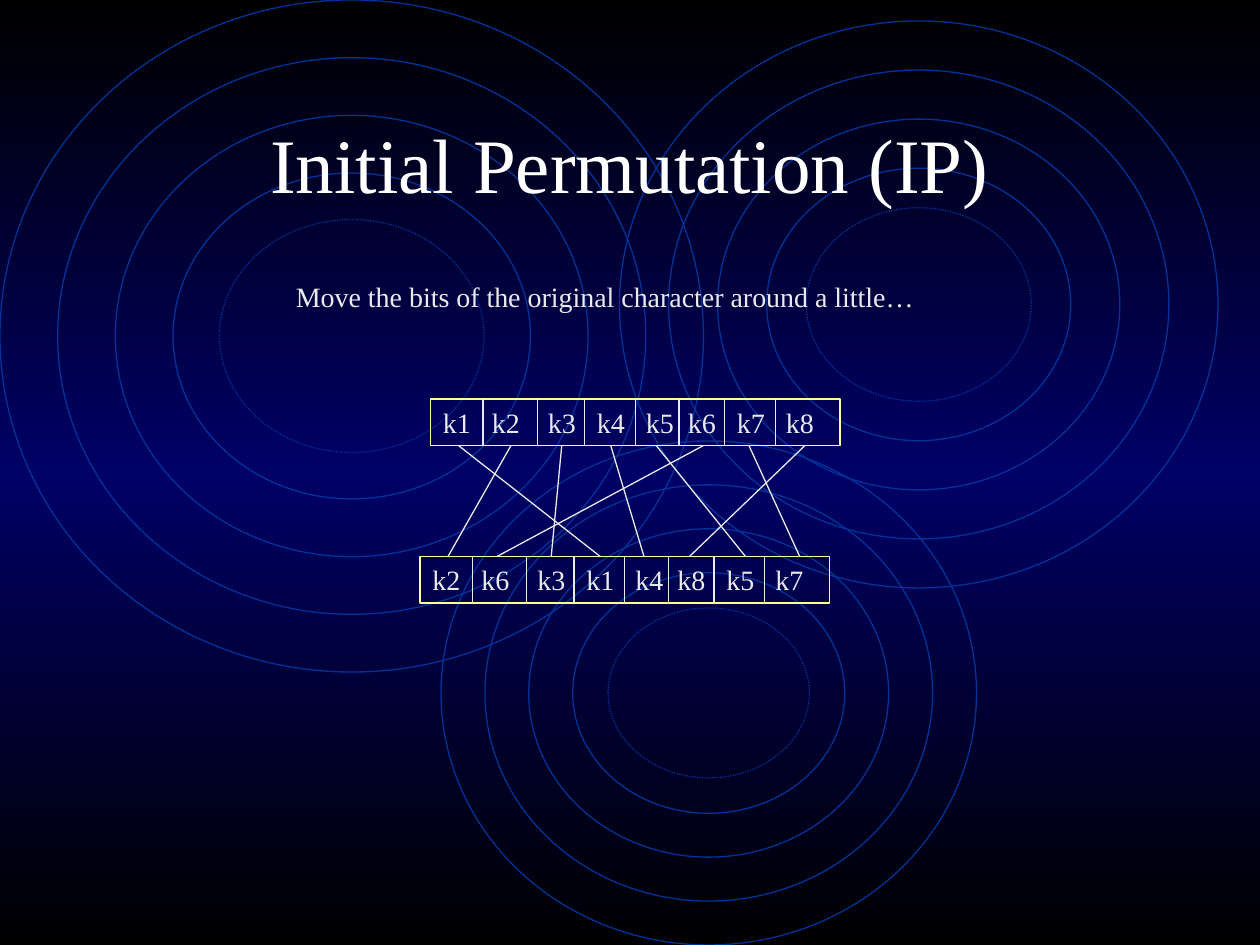
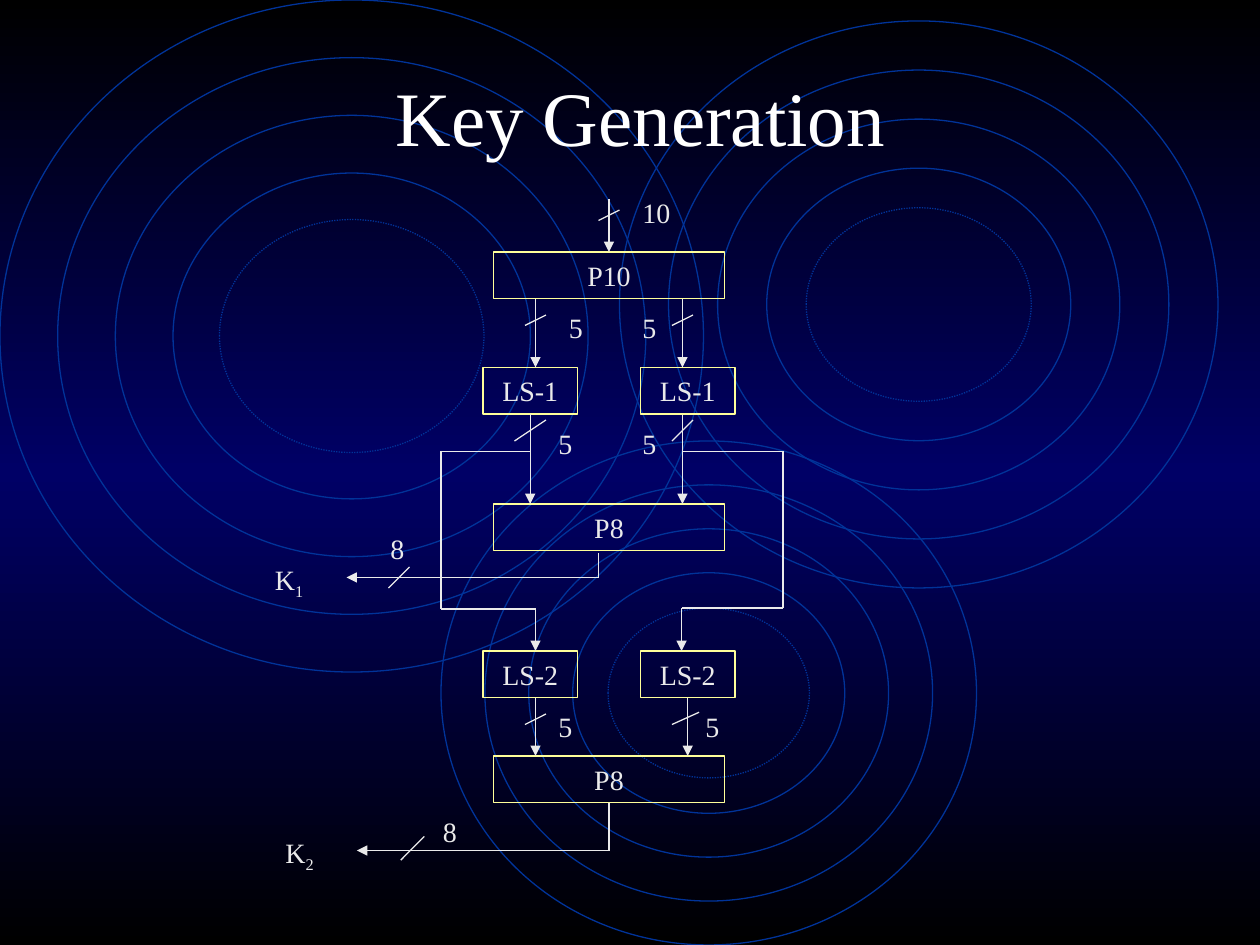
import itertools
from typing import NamedTuple

import pptx
import pptx.dml.color
import pptx.enum.dml
import pptx.enum.shapes
import pptx.enum.text
import pptx.oxml.ns
import pptx.oxml.xmlchemy
import pptx.util
from lxml import etree

Pt = pptx.util.Pt
qn = pptx.oxml.ns.qn
SHAPE = pptx.enum.shapes.MSO_SHAPE
ALIGN = pptx.enum.text.PP_ALIGN

COLORS = {
    "black": "000000",
    "navy": "000066",
    "ring": "003399",
    "title": "FFFFFF",
    "text": "EAEAEA",
    "box": "FFFF99",
}
FONT = "Times New Roman"
BODY_SIZE, TITLE_SIZE = 16, 44
LINE_WIDTH = 0.75
BOX_HEIGHT = 26.6
TOP, BOTTOM = 0, 2  # connection sites of a rectangle


class Rings(NamedTuple):
    left: float
    top: float
    width: float
    height: float


class BitRow(NamedTuple):
    left: float
    top: float
    bits: str
    ports: tuple  # wire ends, measured from the row's left edge


class Box(NamedTuple):
    name: str
    text: str
    left: float
    top: float
    width: float


class Route(NamedTuple):
    points: tuple
    arrow: bool = True
    start: str = ""  # box whose bottom the route leaves
    end: str = ""  # box whose top the route reaches


class Slash(NamedTuple):
    right: float
    top: float
    width: float = 12
    height: float = 6


class Label(NamedTuple):
    text: str
    left: float
    top: float
    width: float = 24
    subscript: str = ""


# Shared background: concentric rings, inset by a percentage of the outer width
RING_GROUPS = [
    Rings(0, 0, 402, 384),
    Rings(252, 252, 306, 288),
    Rings(354, 12, 342, 324),
]
RING_INSETS = [0, 8.2, 16.4, 24.6, 31.2]

# Initial permutation
ROW_WIDTH = 234
BIT_TABS = [28, 60, 88, 116, 140, 168, 196]
DIVIDERS = [30, 61, 88, 117, 142, 168, 197]
SOURCE_ROW = BitRow(246, 228, "k1 k2 k3 k4 k5 k6 k7 k8",
                    (16, 46, 75, 103, 129, 156, 182, 214))
PERMUTED_ROW = BitRow(240, 318, "k2 k6 k3 k1 k4 k8 k5 k7",
                      (16, 44, 75, 103, 128, 154, 186, 217))

# Key generation
BOXES = [
    Box("p10", "P10", 282, 144, 132),
    Box("p8 first", "P8", 282, 288, 132),
    Box("p8 second", "P8", 282, 432, 132),
    Box("ls1 left", "LS-1", 276, 210, 54),
    Box("ls1 right", "LS-1", 366, 210, 54),
    Box("ls2 left", "LS-2", 276, 372, 54),
    Box("ls2 right", "LS-2", 366, 372, 54),
]
ROUTES = [
    Route(((348, 114), (348, 144)), end="p10"),
    Route(((306, 171), (306, 210))),
    Route(((390, 171), (390, 210))),
    Route(((303, 237), (303, 288)), start="ls1 left"),
    Route(((390, 237), (390, 288))),
    Route(((342, 316), (342, 330), (198, 330))),
    Route(((306, 399), (306, 432))),
    Route(((393, 399), (393, 432)), start="ls2 right"),
    Route(((303, 258), (252, 258), (252, 348), (306, 348), (306, 372))),
    Route(((390, 258), (447.5, 258), (447.5, 347.5), (389.5, 347.5), (389.5, 372))),
    Route(((348, 459), (348, 486), (204, 486)), start="p8 second"),
]
SLASHES = [
    Slash(354, 120),
    Slash(312, 180),
    Slash(396, 180),
    Slash(312, 240, 18, 12),
    Slash(396, 240, 12, 12),
    Slash(234, 324, 12, 12),
    Slash(312, 408),
    Slash(399.5, 407, 15.5, 7),
    Slash(242.5, 478, 13.5, 13.5),
]
LABELS = [
    Label("10", 360, 108, 36),
    Label("5", 318, 174),
    Label("5", 360, 174),
    Label("5", 312, 240),
    Label("5", 360, 240),
    Label("8", 216, 300),
    Label("K", 150, 318, 36, "1"),
    Label("5", 312, 402),
    Label("5", 396, 402),
    Label("8", 246, 462),
    Label("K", 156, 474, 36, "2"),
]


def rgb(name: str) -> pptx.dml.color.RGBColor:
    return pptx.dml.color.RGBColor.from_string(COLORS[name])


def set_background(master) -> None:
    fill = master.background.fill
    fill.gradient()
    fill.gradient_angle = 270
    stops = master.element.xpath(".//p:bg//a:gsLst")[0]
    etree.SubElement(stops, qn("a:gs"), pos="100000")
    etree.SubElement(stops[-1], qn("a:srgbClr"), val=COLORS["black"])
    for stop, position, color in zip(fill.gradient_stops, (0, 0.5, 1),
                                     ("black", "navy", "black")):
        stop.position = position
        stop.color.rgb = rgb(color)


def add_run(p, text: str, size: float = BODY_SIZE, color: str = "text"):
    r = p.add_run()
    r.text = text
    r.font.name = FONT
    r.font.size = Pt(size)
    r.font.color.rgb = rgb(color)
    return r


def add_outline(slide, kind, left: float, top: float, width: float,
                height: float, color: str):
    sp = slide.shapes.add_shape(kind, Pt(left), Pt(top), Pt(width), Pt(height))
    sp.shadow.inherit = False
    sp.fill.background()
    sp.line.color.rgb = rgb(color)
    sp.line.width = Pt(LINE_WIDTH)
    return sp


def add_box(slide, left: float, top: float, width: float, align):
    sp = add_outline(slide, SHAPE.RECTANGLE, left, top, width, BOX_HEIGHT, "box")
    tf = sp.text_frame
    tf.vertical_anchor = pptx.enum.text.MSO_ANCHOR.TOP
    tf.paragraphs[0].alignment = align
    return sp


def add_text(slide, left: float, top: float, width: float, height: float = BOX_HEIGHT):
    tf = slide.shapes.add_textbox(Pt(left), Pt(top), Pt(width), Pt(height)).text_frame
    tf.word_wrap = True
    return tf


def add_line(slide, start: tuple, end: tuple, arrow: bool = False):
    line = slide.shapes.add_connector(pptx.enum.shapes.MSO_CONNECTOR.STRAIGHT,
                                      *(Pt(v) for v in start + end))
    line.line.color.rgb = rgb("text")
    line.line.width = Pt(LINE_WIDTH)
    sp_pr = line.element.spPr
    if arrow:
        etree.SubElement(sp_pr.find(qn("a:ln")), qn("a:tailEnd"), type="triangle")
    etree.SubElement(sp_pr, qn("a:effectLst"))
    return line


def add_rings(slide, rings: Rings) -> None:
    for percent in RING_INSETS:
        inset = rings.width * percent / 100
        sp = add_outline(slide, SHAPE.OVAL, rings.left + inset, rings.top + inset,
                         rings.width - 2 * inset, rings.height - 2 * inset, "ring")
    # The innermost ring is dotted
    sp.line.dash_style = pptx.enum.dml.MSO_LINE.ROUND_DOT


def add_slide(prs, title: str, left: float, top: float, height: float):
    slide = prs.slides.add_slide(prs.slide_layouts[6])
    for rings in RING_GROUPS:
        add_rings(slide, rings)
    tf = add_text(slide, left, top, 612, height)
    tf.vertical_anchor = pptx.enum.text.MSO_ANCHOR.MIDDLE
    p = tf.paragraphs[0]
    p.alignment = ALIGN.CENTER
    add_run(p, title, TITLE_SIZE, "title")
    return slide


def add_bit_row(slide, row: BitRow) -> None:
    sp = add_box(slide, row.left, row.top, ROW_WIDTH, ALIGN.LEFT)
    p = sp.text_frame.paragraphs[0]
    tabs = etree.SubElement(p._p.get_or_add_pPr(), qn("a:tabLst"))
    for position in BIT_TABS:
        etree.SubElement(tabs, qn("a:tab"), pos=str(Pt(position)), algn="l")
    add_run(p, "\t".join(row.bits.split()))
    for offset in DIVIDERS:
        x = row.left + offset
        add_line(slide, (x, row.top), (x, row.top + BOX_HEIGHT))


def add_route(slide, route: Route, boxes: dict) -> None:
    lines = [add_line(slide, a, b, route.arrow and b == route.points[-1])
             for a, b in itertools.pairwise(route.points)]
    if route.start:
        lines[0].begin_connect(boxes[route.start], BOTTOM)
    if route.end:
        lines[-1].end_connect(boxes[route.end], TOP)


def build_permutation(prs) -> None:
    slide = add_slide(prs, "Initial Permutation (IP)", 54, 48, 90)
    tf = add_text(slide, 162, 156, 420)
    add_run(tf.paragraphs[0], "Move the bits of the original character around a little…")
    add_bit_row(slide, SOURCE_ROW)
    add_bit_row(slide, PERMUTED_ROW)
    # Each wire leads from a bit to its new place
    targets = dict(zip(PERMUTED_ROW.bits.split(), PERMUTED_ROW.ports))
    for bit, port in zip(SOURCE_ROW.bits.split(), SOURCE_ROW.ports):
        add_line(slide, (SOURCE_ROW.left + port, SOURCE_ROW.top + BOX_HEIGHT),
                 (PERMUTED_ROW.left + targets[bit], PERMUTED_ROW.top))


def build_key_generation(prs) -> None:
    slide = add_slide(prs, "Key Generation", 60, 36, 60)
    boxes = {}
    for box in BOXES:
        sp = add_box(slide, box.left, box.top, box.width, ALIGN.CENTER)
        add_run(sp.text_frame.paragraphs[0], box.text)
        boxes[box.name] = sp
    for route in ROUTES:
        add_route(slide, route, boxes)
    # Bus widths
    for slash in SLASHES:
        add_line(slide, (slash.right, slash.top),
                 (slash.right - slash.width, slash.top + slash.height))
    for label in LABELS:
        p = add_text(slide, label.left, label.top, label.width).paragraphs[0]
        add_run(p, label.text)
        if label.subscript:
            r = add_run(p, label.subscript)
            r.font._element.set("baseline", "-25000")


def main() -> None:
    prs = pptx.Presentation()
    prs.slide_width, prs.slide_height = Pt(720), Pt(540)
    set_background(prs.slide_master)
    build_permutation(prs)
    build_key_generation(prs)
    prs.save("out.pptx")


if __name__ == "__main__":
    main()
